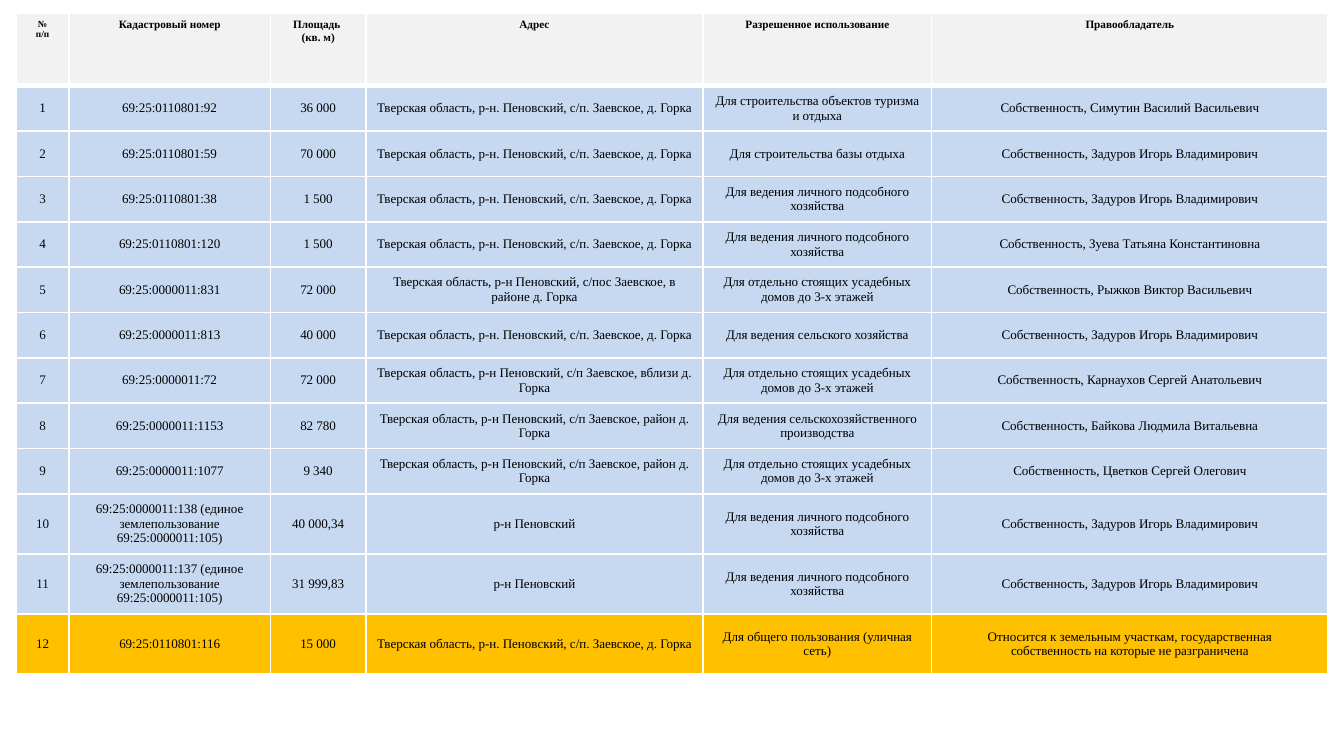
from lxml import etree
from pptx import Presentation
from pptx import util as u
from pptx.dml.color import RGBColor
from pptx.enum import text
from pptx.oxml import ns

WHITE = RGBColor(0xFF, 0xFF, 0xFF)
BLACK = RGBColor(0x00, 0x00, 0x00)
NEAR_BLACK = RGBColor(0x0D, 0x0D, 0x0D)
HEADER_GREY = RGBColor(0xF2, 0xF2, 0xF2)
PLOT_BLUE = RGBColor(0xC6, 0xD9, 0xF1)
STATE_ORANGE = RGBColor(0xFF, 0xC0, 0x00)

# Column widths and row heights in points
COLUMN_WIDTHS = [28.1, 108, 51.1, 180.7, 122.4, 212.4]
ROW_HEIGHTS = [38.8] + [24.3] * 9 + [32.2] * 3

HEADERS = ["№ п/п", "Кадастровый номер", "Площадь \n(кв. м)", "Адрес",
           "Разрешенное использование", "Правообладатель"]

# Wording shared by several plots
GORKA = "Тверская область, р-н. Пеновский, с/п. Заевское, д. Горка"
NEAR_GORKA = "Тверская область, р-н Пеновский, с/п Заевское, район д. Горка"
DISTRICT = "р-н Пеновский"
HOUSEHOLD = "Для ведения личного подсобного хозяйства"
HOUSES = "Для отдельно стоящих усадебных домов до 3-х этажей"
ZADUROV = "Собственность, Задуров Игорь Владимирович"
UNIFIED = " (единое землепользование 69:25:0000011:105)"

# Cadastral number, area, address, permitted use, holder
PLOTS = [
    ("69:25:0110801:92", "36 000", GORKA,
     "Для строительства объектов туризма и отдыха",
     "Собственность, Симутин Василий Васильевич"),
    ("69:25:0110801:59", "70 000", GORKA, "Для строительства базы отдыха", ZADUROV),
    ("69:25:0110801:38", "1 500", GORKA, HOUSEHOLD, ZADUROV),
    ("69:25:0110801:120", "1 500", GORKA, HOUSEHOLD,
     "Собственность, Зуева Татьяна Константиновна"),
    ("69:25:0000011:831", "72 000",
     "Тверская область, р-н Пеновский, с/пос Заевское, в районе д. Горка", HOUSES,
     "Собственность, Рыжков Виктор Васильевич"),
    ("69:25:0000011:813", "40 000", GORKA, "Для ведения сельского хозяйства", ZADUROV),
    ("69:25:0000011:72", "72 000",
     "Тверская область, р-н Пеновский, с/п Заевское, вблизи д. Горка", HOUSES,
     "Собственность, Карнаухов Сергей Анатольевич"),
    ("69:25:0000011:1153", "82 780", NEAR_GORKA,
     "Для ведения сельскохозяйственного производства",
     "Собственность, Байкова Людмила Витальевна"),
    ("69:25:0000011:1077", "9 340", NEAR_GORKA, HOUSES,
     "Собственность, Цветков Сергей Олегович"),
    ("69:25:0000011:138" + UNIFIED, "40 000,34", DISTRICT, HOUSEHOLD, ZADUROV),
    ("69:25:0000011:137" + UNIFIED, "31 999,83", DISTRICT, HOUSEHOLD, ZADUROV),
    ("69:25:0110801:116", "15 000", GORKA, "Для общего пользования (уличная сеть)",
     "Относится к земельным участкам, государственная собственность "
     "на которые не разграничена"),
]


class SlideBuilder:
    """Holds the style and the current slide."""

    font_name = "Times New Roman"
    wide_margins = (7.9, 2.9)
    narrow_margins = (5.1, 0)

    def __init__(self, slide):
        self.slide = slide

    def table(self, left, top, widths, heights):
        shape = self.slide.shapes.add_table(
            len(heights), len(widths), u.Pt(left), u.Pt(top),
            u.Pt(sum(widths)), u.Pt(sum(heights)))
        table = shape.table
        table.horz_banding = False
        for column, width in zip(table.columns, widths):
            column.width = u.Pt(width)
        for row, height in zip(table.rows, heights):
            row.height = u.Pt(height)
        return table

    def borders(self, cell, bottom):
        properties = cell._tc.get_or_add_tcPr()
        for side, width in (("L", 1), ("R", 1), ("T", 1), ("B", bottom)):
            line = etree.SubElement(properties, ns.qn(f"a:ln{side}"), w=str(u.Pt(width)))
            fill = etree.SubElement(line, ns.qn("a:solidFill"))
            etree.SubElement(fill, ns.qn("a:srgbClr"), val=str(WHITE))

    def cell(self, cell, wording, fill, size, color=BLACK, bold=False,
             margins=wide_margins, anchor=text.MSO_ANCHOR.MIDDLE, bottom=1):
        self.borders(cell, bottom)
        cell.fill.solid()
        cell.fill.fore_color.rgb = fill
        cell.margin_left = cell.margin_right = u.Pt(margins[0])
        cell.margin_top = cell.margin_bottom = u.Pt(margins[1])
        cell.vertical_anchor = anchor
        cell.text_frame.text = wording
        for paragraph in cell.text_frame.paragraphs:
            paragraph.alignment = text.PP_ALIGN.CENTER
            for run in paragraph.runs:
                run.font.name = self.font_name
                run.font.size = u.Pt(size)
                run.font.bold = bold
                run.font.color.rgb = color


def main():
    presentation = Presentation()
    presentation.slide_width = u.Pt(720)
    presentation.slide_height = u.Pt(405)
    builder = SlideBuilder(presentation.slides.add_slide(presentation.slide_layouts[6]))
    table = builder.table(8.8, 7.2, COLUMN_WIDTHS, ROW_HEIGHTS)

    # Header row
    for column, header in enumerate(HEADERS):
        builder.cell(table.cell(0, column), header, HEADER_GREY, 6 if column else 5,
                     bold=True, anchor=text.MSO_ANCHOR.TOP, bottom=3)

    # Land plots, the last one being undivided state property
    for number, plot in enumerate(PLOTS, start=1):
        fill = STATE_ORANGE if number == len(PLOTS) else PLOT_BLUE
        for column, wording in enumerate((str(number), *plot)):
            black = column > 0 or number in (1, 4)
            builder.cell(
                table.cell(number, column), wording, fill, 7,
                color=BLACK if black else NEAR_BLACK,
                margins=builder.narrow_margins if column in (2, 3, 4)
                else builder.wide_margins)

    presentation.save("out.pptx")


if __name__ == "__main__":
    main()
